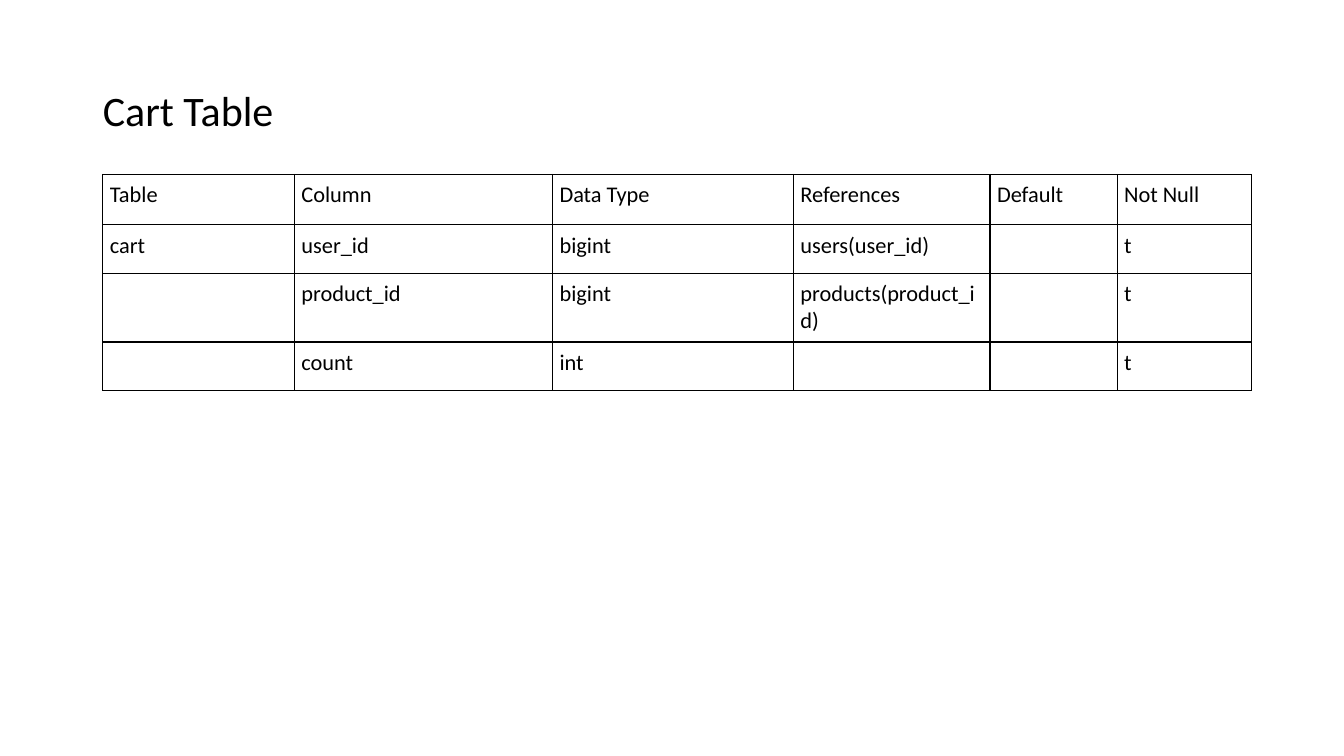
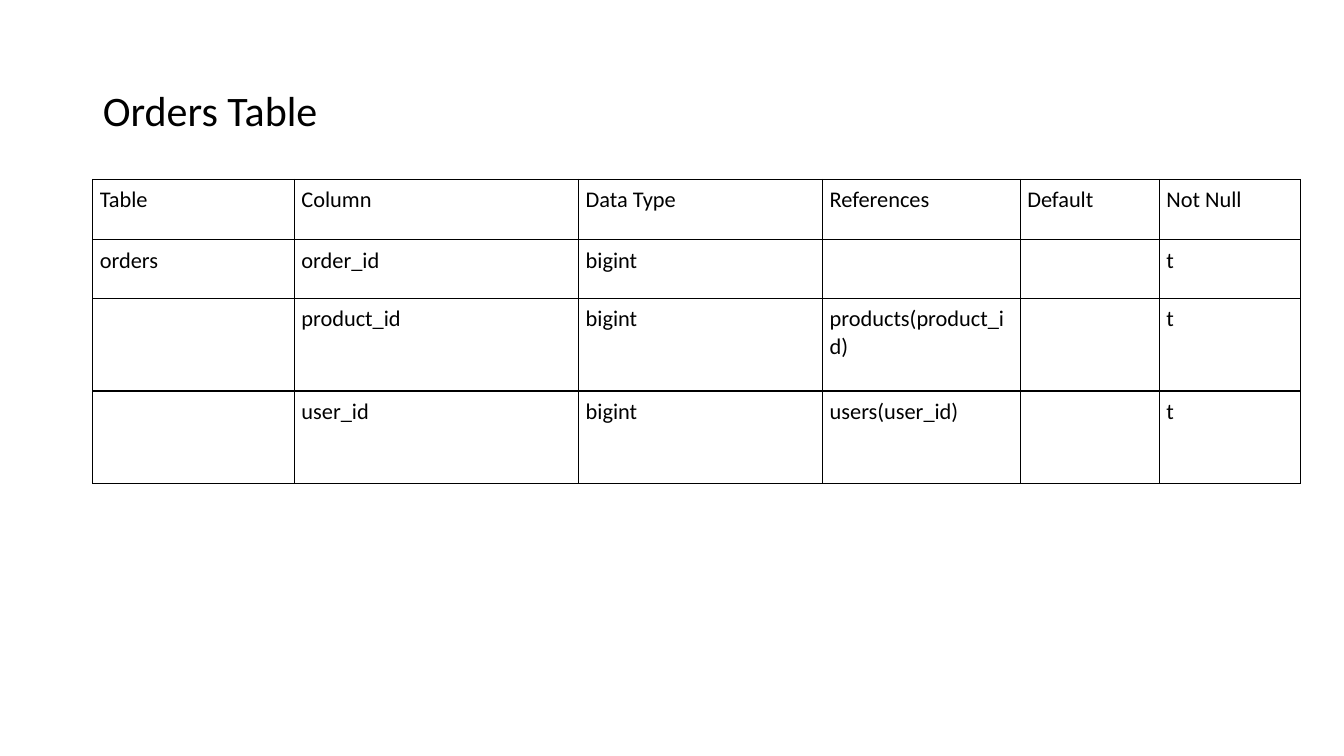
from lxml import etree
from pptx import Presentation
from pptx.dml.color import RGBColor
from pptx.enum.text import MSO_ANCHOR, MSO_AUTO_SIZE, PP_ALIGN
from pptx.oxml.ns import qn
from pptx.util import Pt

MIDDLE = MSO_ANCHOR.MIDDLE
NO_FIT = MSO_AUTO_SIZE.NONE
LEFT = PP_ALIGN.LEFT

PX = 9144
SLIDE_SIZE = (1333, 750)
TITLE_BOX = (92, 40, 1150, 145)
TITLE_LAYOUT = 5
FONT = "Calibri"
INK = "000000"
TITLE_SIZE = 30
CELL_SIZE = 16
CELL_MARGIN = 7
BORDER_WIDTH = 1
BORDER_SIDES = ("a:lnL", "a:lnR", "a:lnT", "a:lnB")

HEADER = ("Table", "Column", "Data Type", "References", "Default", "Not Null")
PAGES = [
    {
        "title": "Cart Table",
        "corner": (102, 173),
        "columns": (190, 256, 239, 195, 126, 133),
        "rows": (50, 48, 48, 48),
        "fields": [
            ("cart", "user_id", "bigint", "users(user_id)", "", "t"),
            ("", "product_id", "bigint", "products(product_id)", "", "t"),
            ("", "count", "int", "", "", "t"),
        ],
    },
    {
        "title": "Orders Table",
        "corner": (92, 178),
        "columns": (200, 282, 242, 196, 138, 140),
        "rows": (60, 58, 92, 92),
        "fields": [
            ("orders", "order_id", "bigint", "", "", "t"),
            ("", "product_id", "bigint", "products(product_id)", "", "t"),
            ("", "user_id", "bigint", "users(user_id)", "", "t"),
        ],
    },
]


def px(*lengths):
    return [length * PX for length in lengths]


def color(value):
    return RGBColor.from_string(value)


def style_font(font, size):
    font.name = FONT
    font.size = Pt(size)
    font.color.rgb = color(INK)


def set_title(page, text):
    title = page.shapes.title
    title.left, title.top, title.width, title.height = px(*TITLE_BOX)
    frame = title.text_frame
    frame.text = text
    frame.vertical_anchor = MIDDLE
    frame.auto_size = NO_FIT
    para = frame.paragraphs[0]
    para.alignment = LEFT
    para.line_spacing = 0.9
    style_font(para.runs[0].font, TITLE_SIZE)


def set_borders(cell):
    properties = cell._tc.get_or_add_tcPr()
    for side in BORDER_SIDES:
        line = etree.SubElement(properties, qn(side), w=str(Pt(BORDER_WIDTH)))
        fill = etree.SubElement(line, qn("a:solidFill"))
        etree.SubElement(fill, qn("a:srgbClr"), val=INK)


def fill_cell(cell, text):
    margin = CELL_MARGIN * PX
    cell.margin_left = cell.margin_right = margin
    cell.margin_top = cell.margin_bottom = margin
    set_borders(cell)
    cell.fill.background()
    cell.text = text
    style_font(cell.text_frame.paragraphs[0].font, CELL_SIZE)
    for span in cell.text_frame.paragraphs[0].runs:
        style_font(span.font, CELL_SIZE)


def add_schema(page, corner, columns, rows, fields):
    frame = page.shapes.add_table(
        len(rows), len(columns), *px(*corner, sum(columns), sum(rows))
    )
    table = frame.table
    table.first_row = False
    table.horz_banding = False
    for column, width in zip(table.columns, columns):
        column.width = width * PX
    for row, height, texts in zip(table.rows, rows, [HEADER, *fields]):
        row.height = height * PX
        for cell, text in zip(row.cells, texts):
            fill_cell(cell, text)


def main():
    deck = Presentation()
    deck.slide_width, deck.slide_height = px(*SLIDE_SIZE)
    for content in PAGES:
        page = deck.slides.add_slide(deck.slide_layouts[TITLE_LAYOUT])
        set_title(page, content["title"])
        add_schema(
            page,
            content["corner"],
            content["columns"],
            content["rows"],
            content["fields"],
        )
    deck.save("out.pptx")


if __name__ == "__main__":
    main()
